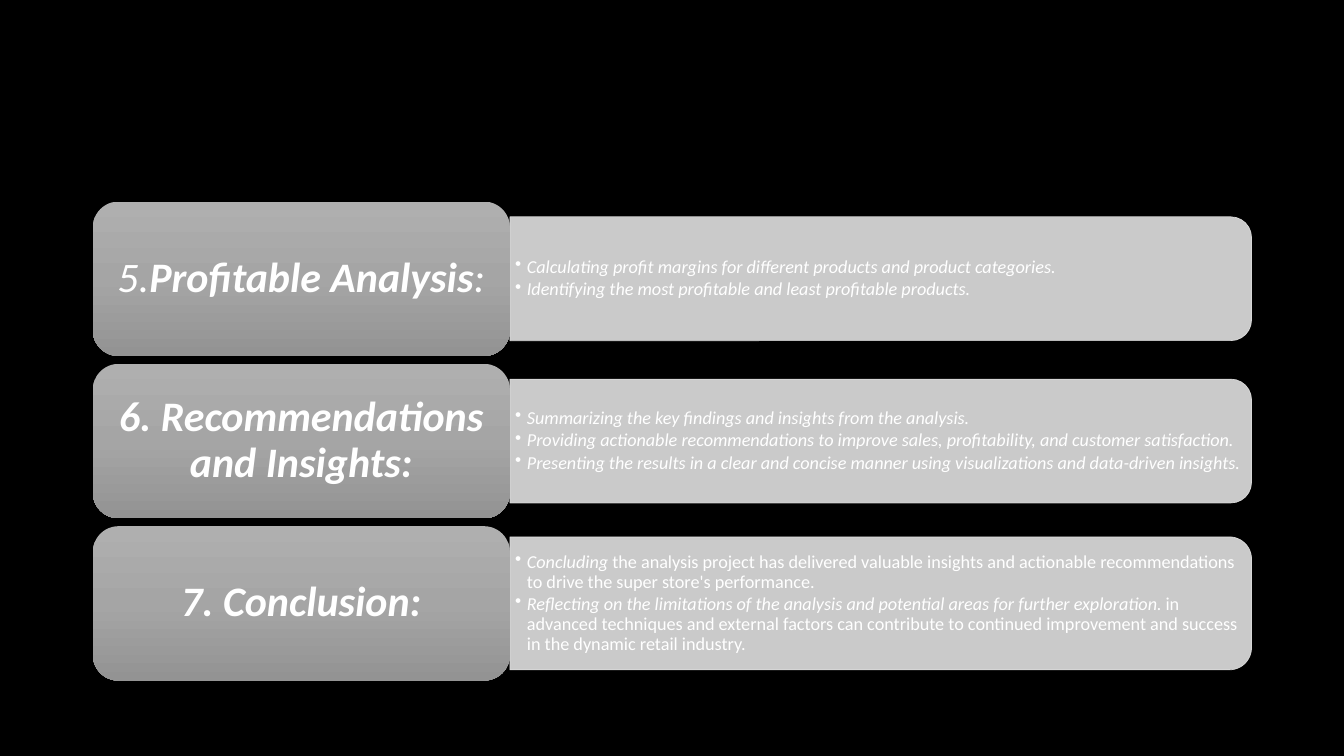
import copy

import pptx
import pptx.dml.color
import pptx.enum.shapes
import pptx.enum.text
import pptx.oxml.ns
import pptx.util

Cm = pptx.util.Cm
Pt = pptx.util.Pt
qn = pptx.oxml.ns.qn

COLORS = {
    "background": "000000",
    "text": "FFFFFF",
    "panel": "E1E1E1",
    "label_top": "AFAFAF",
    "label_middle": "A5A5A5",
    "label_bottom": "939393",
}
FONT = "Calibri"
LEFT, TOP = 2.34, 5.08
LABEL_W, LABEL_H, PITCH = 10.51, 3.89, 4.09
PANEL_W = 18.69

SECTIONS = [
    (
        [("5.", "i"), ("Profitable Analysis", "bi"), (":", "i")],
        3.12,
        [
            [("Calculating profit margins for different products and product categories.", "i")],
            [("Identifying the most profitable and least profitable products.", "i")],
        ],
    ),
    (
        [("6. Recommendations and Insights:", "bi")],
        3.12,
        [
            [("Summarizing the key findings and insights from the analysis.", "i")],
            [("Providing actionable recommendations to improve sales, profitability, "
              "and customer satisfaction.", "i")],
            [("Presenting the results in a clear and concise manner using visualizations "
              "and data-driven insights.", "i")],
        ],
    ),
    (
        [("7. Conclusion:", "bi")],
        3.35,
        [
            [("Concluding ", "i"),
             ("the analysis project has delivered valuable insights and actionable "
              "recommendations to drive the super store's performance.", "")],
            [("Reflecting on the limitations of the analysis and potential areas for "
              "further exploration.", "i"),
             (" in advanced techniques and external factors can contribute to continued "
              "improvement and success in the dynamic retail industry.", "")],
        ],
    ),
]


def rgb(name):
    return pptx.dml.color.RGBColor.from_string(COLORS[name])


def set_frame(tf, side, edge):
    tf.word_wrap = True
    tf.vertical_anchor = pptx.enum.text.MSO_ANCHOR.MIDDLE
    tf.margin_left = tf.margin_right = Cm(side)
    tf.margin_top = tf.margin_bottom = Cm(edge)


def write_runs(p, runs, size):
    p.line_spacing = 0.9
    for text, style in runs:
        r = p.add_run()
        r.text = text
        r.font.name = FONT
        r.font.size = Pt(size)
        r.font.bold = "b" in style
        r.font.italic = "i" in style
        r.font.color.rgb = rgb("text")


def add_bullet(p):
    pPr = p._p.get_or_add_pPr()
    pPr.set("marL", str(Cm(0.3)))
    pPr.set("indent", str(Cm(-0.3)))
    bullet = pPr.makeelement(qn("a:buChar"), {"char": "•"})
    pPr.append(bullet)


def add_panel(s, middle, height):
    left = LEFT + LABEL_W + (PANEL_W - height) / 2
    sp = s.shapes.add_shape(
        pptx.enum.shapes.MSO_SHAPE.ROUND_2_SAME_RECTANGLE,
        Cm(left), Cm(middle - PANEL_W / 2), Cm(height), Cm(PANEL_W))
    sp.rotation = 90
    sp.shadow.inherit = False
    sp.fill.solid()
    sp.fill.fore_color.rgb = rgb("panel")
    sp.line.color.rgb = rgb("panel")
    sp.line.width = Pt(0.5)
    for color in sp._element.spPr.iter(qn("a:srgbClr")):
        color.append(color.makeelement(qn("a:alpha"), {"val": "90000"}))


def add_bullets(s, middle, height, bullets):
    text_h = height - 0.3
    box = s.shapes.add_textbox(
        Cm(LEFT + LABEL_W), Cm(middle - text_h / 2), Cm(PANEL_W - 0.15), Cm(text_h))
    tf = box.text_frame
    set_frame(tf, 0.13, 0.07)
    for i, runs in enumerate(bullets):
        p = tf.add_paragraph() if i else tf.paragraphs[0]
        write_runs(p, runs, 13)
        p.space_after = Pt(2)
        add_bullet(p)


def fill_gradient(sp):
    sp.fill.gradient()
    sp.fill.gradient_angle = 270
    first = sp._element.spPr.find(".//" + qn("a:gs"))
    first.addnext(copy.deepcopy(first))
    names = ("label_top", "label_middle", "label_bottom")
    for i, (stop, name) in enumerate(zip(sp.fill.gradient_stops, names)):
        stop.position = i / 2
        stop.color.rgb = rgb(name)


def add_label(s, middle, runs):
    sp = s.shapes.add_shape(
        pptx.enum.shapes.MSO_SHAPE.ROUNDED_RECTANGLE,
        Cm(LEFT), Cm(middle - LABEL_H / 2), Cm(LABEL_W), Cm(LABEL_H))
    sp.shadow.inherit = False
    sp.line.fill.background()
    fill_gradient(sp)
    set_frame(sp.text_frame, 0.3, 0.15)
    p = sp.text_frame.paragraphs[0]
    p.alignment = pptx.enum.text.PP_ALIGN.CENTER
    write_runs(p, runs, 30)


def main():
    prs = pptx.Presentation()
    prs.slide_width = Cm(33.87)
    prs.slide_height = Cm(19.05)
    s = prs.slides.add_slide(prs.slide_layouts[6])
    s.background.fill.solid()
    s.background.fill.fore_color.rgb = rgb("background")
    for i, (title, height, bullets) in enumerate(SECTIONS):
        middle = TOP + LABEL_H / 2 + i * PITCH
        add_panel(s, middle, height)
        add_bullets(s, middle, height, bullets)
        add_label(s, middle, title)
    prs.save("out.pptx")


main()
